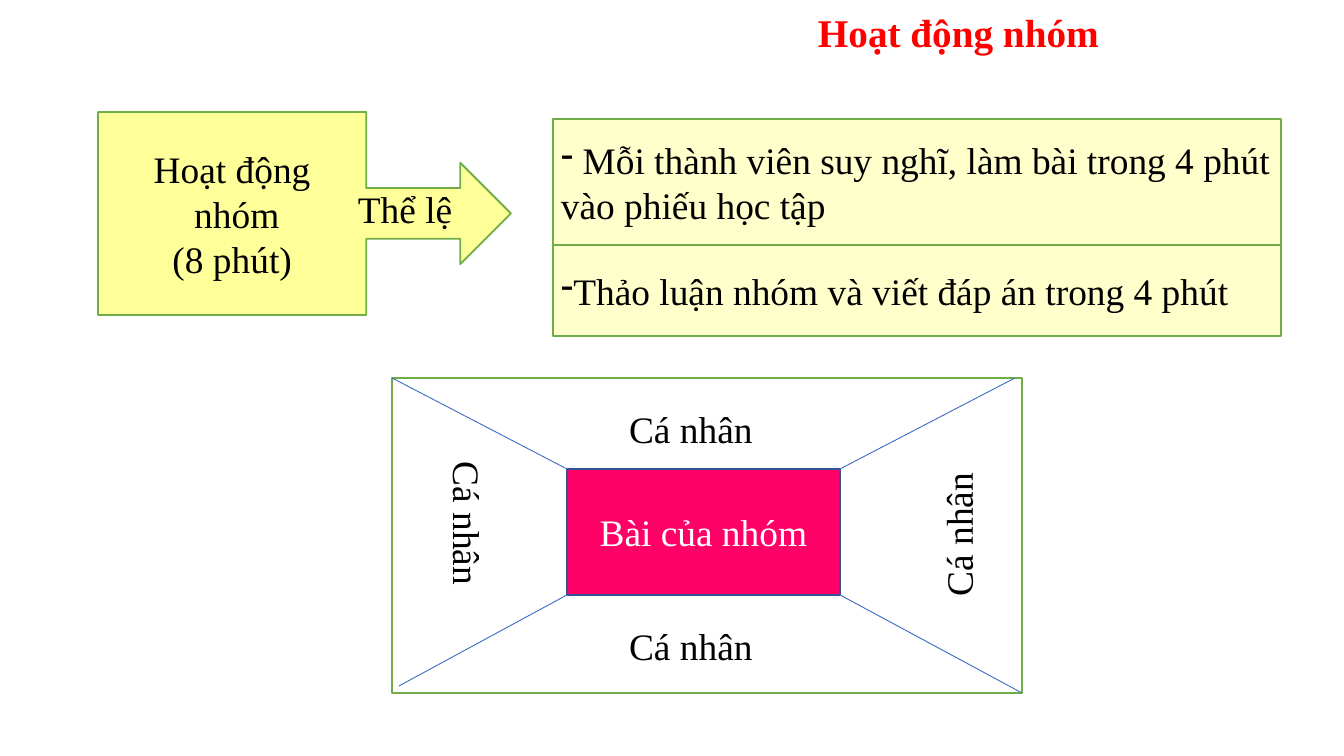
from lxml.etree import SubElement
from pptx import Presentation
from pptx.dml.color import RGBColor
from pptx.enum.shapes import MSO_CONNECTOR, MSO_SHAPE
from pptx.enum.text import MSO_ANCHOR, PP_ALIGN
from pptx.oxml.ns import qn
from pptx.util import Pt

EMU_PER_PX = 914400 / 134.4
FONT = "Times New Roman"
GREEN = "70AD47"
TIGHT = (8, 4)
NORMAL = (13, 7)


def px(length):
    return round(length * EMU_PER_PX)


def color(hex_string):
    return RGBColor.from_string(hex_string)


def add_dash(paragraph):
    """Put a hanging-free dash bullet in front of the paragraph."""
    properties = paragraph._p.get_or_add_pPr()
    properties.set("marL", "0")
    properties.set("indent", "0")
    SubElement(properties, qn("a:buFontTx"))
    SubElement(properties, qn("a:buChar")).set("char", "-")


def write(shape, lines, text_color="000000", size=20, bold=False, align=PP_ALIGN.LEFT,
          anchor=MSO_ANCHOR.MIDDLE, insets=TIGHT, dash=False):
    frame = shape.text_frame
    frame.word_wrap = True
    frame.vertical_anchor = anchor
    frame.margin_left = frame.margin_right = px(insets[0])
    frame.margin_top = frame.margin_bottom = px(insets[1])
    frame.text = "\n".join(lines)
    for paragraph in frame.paragraphs:
        if dash:
            add_dash(paragraph)
        paragraph.alignment = align
        paragraph.font.name = FONT
        paragraph.font.size = Pt(size)
        paragraph.font.bold = bold
        paragraph.font.color.rgb = color(text_color)


def add_box(shapes, box, fill, line=GREEN, kind=MSO_SHAPE.RECTANGLE):
    shape = shapes.add_shape(kind, *map(px, box))
    shape.shadow.inherit = False
    shape.fill.solid()
    shape.fill.fore_color.rgb = color(fill)
    shape.line.color.rgb = color(line)
    shape.line.width = Pt(1)
    return shape


def add_label(shapes, box, text, insets=NORMAL, rotation=0):
    label = shapes.add_textbox(*map(px, box))
    label.rotation = rotation
    write(label, [text], anchor=MSO_ANCHOR.TOP, insets=insets)


def add_line(shapes, start, end):
    line = shapes.add_connector(MSO_CONNECTOR.STRAIGHT, *map(px, start + end))
    line.line.color.rgb = color("4472C4")
    line.line.width = Pt(0.5)
    SubElement(line._element.spPr, qn("a:effectLst"))


def add_title(slide, text):
    title = slide.shapes.title
    title.left, title.top, title.width, title.height = map(px, (714, 3, 489, 58))
    write(title, [text], "FF0000", size=21, bold=True, align=PP_ALIGN.CENTER,
          anchor=MSO_ANCHOR.TOP, insets=(10, 5))


def add_rules(shapes):
    callout = add_box(shapes, (98, 112, 413, 203), "FFFF99",
                      kind=MSO_SHAPE.RIGHT_ARROW_CALLOUT)
    write(callout, ["Hoạt động", " nhóm", "(8 phút)"], align=PP_ALIGN.CENTER)
    add_label(shapes, (350, 182, 133, 54), "Thể lệ", insets=TIGHT)
    for top, height, text in (
        (119, 126, " Mỗi thành viên suy nghĩ, làm bài trong 4 phút vào phiếu học tập"),
        (245, 91, "Thảo luận nhóm và viết đáp án trong 4 phút"),
    ):
        rule = add_box(shapes, (553, top, 728, height), "FFFFCC")
        write(rule, [text], dash=True)


def add_tablecloth(shapes):
    """Draw the sheet with a shared centre and one side for each member."""
    add_box(shapes, (392, 378, 630, 315), "FFFFFF")
    left, top, width, height = centre = (567, 469, 273, 126)
    answer = add_box(shapes, centre, "FF0066", line="325491")
    write(answer, ["Bài của nhóm"], "FFFFFF", align=PP_ALIGN.CENTER, insets=NORMAL)

    right, bottom = left + width, top + height
    for inner, outer in (
        ((left, top), (392, 378)),
        ((left, bottom), (399, 686)),
        ((right, top), (1015, 378)),
        ((right, bottom), (1022, 693)),
    ):
        add_line(shapes, outer, inner)

    for label_left, label_top, rotation in (
        (616, 399, 0), (384, 503, 90), (616, 616, 0), (874, 496, 270),
    ):
        add_label(shapes, (label_left, label_top, 168, 59), "Cá nhân", rotation=rotation)


def main():
    presentation = Presentation()
    presentation.slide_width = px(1344)
    presentation.slide_height = px(756)
    slide = presentation.slides.add_slide(presentation.slide_layouts[5])
    add_title(slide, "Hoạt động nhóm")
    add_rules(slide.shapes)
    add_tablecloth(slide.shapes.add_group_shape().shapes)
    presentation.save("out.pptx")


if __name__ == "__main__":
    main()
